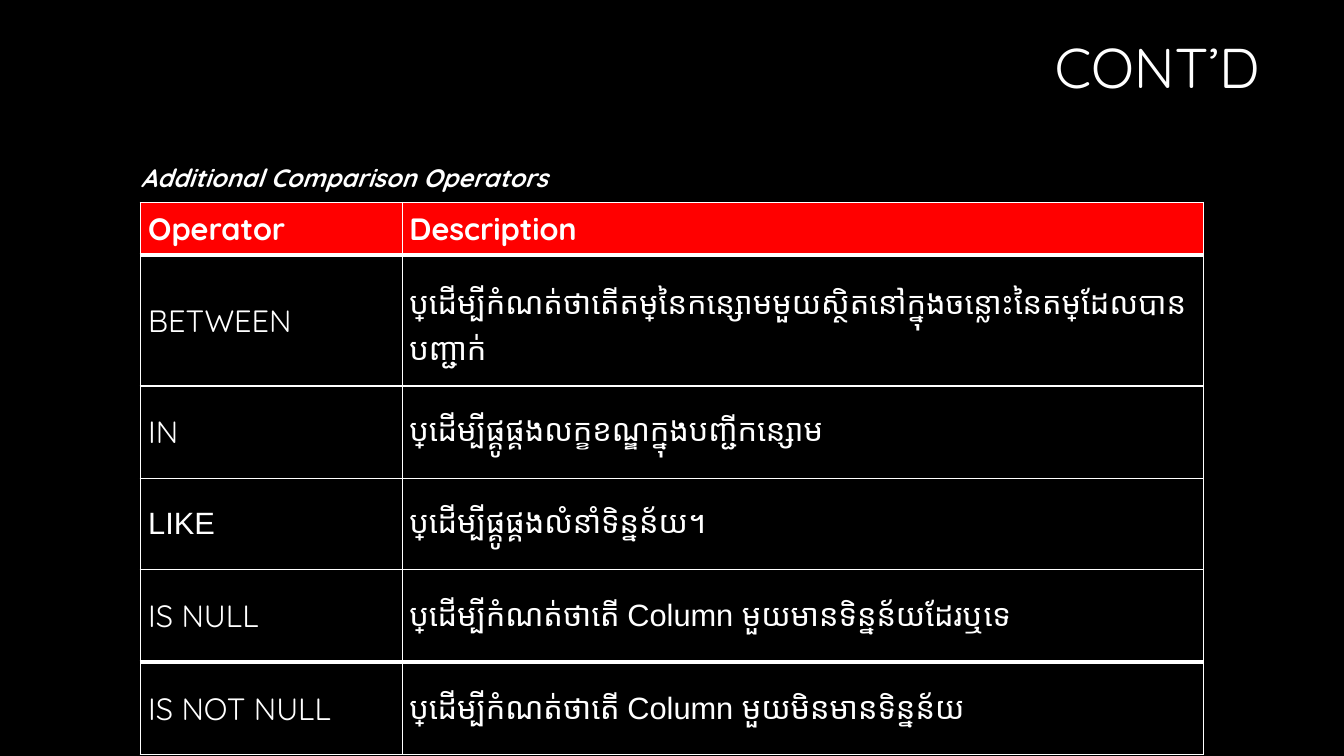
from dataclasses import dataclass

from lxml import etree
from pptx import Presentation
from pptx.dml.color import RGBColor
from pptx.enum.text import MSO_ANCHOR, PP_ALIGN
from pptx.oxml.ns import qn
from pptx.slide import Slide
from pptx.table import _Cell
from pptx.text.text import _Paragraph
from pptx.util import Inches, Pt

MIDDLE, TOP = MSO_ANCHOR.MIDDLE, MSO_ANCHOR.TOP
LEFT, RIGHT = PP_ALIGN.LEFT, PP_ALIGN.RIGHT
COLORS = {"back": "000000", "text": "FFFFFF", "head": "FF0000"}
SANS, ROUND = "Arial", "Quicksand"
THIN, THICK = 1, 3


@dataclass(frozen=True)
class Style:
    size: float
    font: str = ROUND
    bold: bool = False
    slant: bool = False
    space: float = 1.0


@dataclass(frozen=True)
class Label:
    text: str
    box: tuple[float, float, float, float]
    style: Style
    align: PP_ALIGN = LEFT
    anchor: MSO_ANCHOR = TOP
    wrap: bool = True


@dataclass(frozen=True)
class Row:
    name: str
    note: str
    high: float
    left: Style = Style(22)
    right: Style = Style(22, SANS)
    above: int = THIN
    below: int = THIN
    fill: str = ""


LABELS = [
    Label("CONT’D", (3.17, 0, 9.42, 1.4), Style(40, space=0.9), RIGHT, MIDDLE),
    Label("Additional Comparison Operators", (1.3, 1.41, 4.31, 0.5),
          Style(18, bold=True, slant=True, space=1.5), wrap=False),
]
HEAD = Style(22, bold=True)
WIDTHS = (2.6, 7.95)
INDENTS = (0.08, 0.07)
ROWS = [
    Row("Operator", "Description", 0.52, HEAD, HEAD, below=THICK, fill="head"),
    Row("BETWEEN", "ប្រើដើម្បីកំណត់ថាតើតម្លៃនៃកន្សោមមួយស្ថិតនៅក្នុងចន្លោះនៃតម្លៃដែលបានបញ្ជាក់",
        1.3, right=Style(22, SANS, space=1.5), above=THICK),
    Row("IN", "ប្រើដើម្បីផ្គូផ្គងលក្ខខណ្ឌក្នុងបញ្ជីកន្សោម", 0.92),
    Row("LIKE", "ប្រើដើម្បីផ្គូផ្គងលំនាំទិន្នន័យ។", 0.9, left=Style(22, SANS)),
    Row("IS NULL", "ប្រើដើម្បីកំណត់ថាតើ Column មួយមានទិន្នន័យដែរឬទេ", 0.92, below=THICK),
    Row("IS NOT NULL", "ប្រើដើម្បីកំណត់ថាតើ Column មួយមិនមានទិន្នន័យ", 0.92, above=THICK),
]


def paint(name: str) -> RGBColor:
    return RGBColor.from_string(COLORS[name])


def write(para: _Paragraph, text: str, style: Style) -> None:
    para.line_spacing = style.space
    run = para.add_run()
    run.text = text
    font = run.font
    font.name, font.size = style.font, Pt(style.size)
    font.bold, font.italic = style.bold, style.slant
    font.color.rgb = paint("text")


def add_label(slide: Slide, label: Label) -> None:
    frame = slide.shapes.add_textbox(*map(Inches, label.box)).text_frame
    frame.word_wrap = label.wrap
    frame.vertical_anchor = label.anchor
    para = frame.paragraphs[0]
    para.alignment = label.align
    write(para, label.text, label.style)


def add_edge(cell: _Cell, side: str, width: int) -> None:
    props = cell._tc.get_or_add_tcPr()
    line = etree.SubElement(props, qn(f"a:ln{side}"), w=str(Pt(width)))
    fill = etree.SubElement(line, qn("a:solidFill"))
    etree.SubElement(fill, qn("a:srgbClr"), val=COLORS["text"])


def fill_cell(cell: _Cell, text: str, style: Style, row: Row, indent: float) -> None:
    cell.margin_left = Inches(indent)
    cell.margin_right = cell.margin_top = cell.margin_bottom = 0
    cell.vertical_anchor = MIDDLE
    for side, width in zip("LRTB", (THIN, THIN, row.above, row.below)):
        add_edge(cell, side, width)
    if row.fill:
        cell.fill.solid()
        cell.fill.fore_color.rgb = paint(row.fill)
    else:
        cell.fill.background()
    write(cell.text_frame.paragraphs[0], text, style)


def add_grid(slide: Slide, rows: list[Row]) -> None:
    high = sum(row.high for row in rows)
    box = map(Inches, (1.39, 2.01, sum(WIDTHS), high))
    table = slide.shapes.add_table(len(rows), len(WIDTHS), *box).table
    table.first_row = table.horz_banding = False
    for col, width in zip(table.columns, WIDTHS):
        col.width = Inches(width)
    for line, row in zip(table.rows, rows):
        line.height = Inches(row.high)
        parts = ((row.name, row.left), (row.note, row.right))
        for cell, (text, style), indent in zip(line.cells, parts, INDENTS):
            fill_cell(cell, text, style, row, indent)


def main() -> None:
    deck = Presentation()
    deck.slide_width, deck.slide_height = Inches(13.33), Inches(7.5)
    slide = deck.slides.add_slide(deck.slide_layouts[6])
    slide.background.fill.solid()
    slide.background.fill.fore_color.rgb = paint("back")
    for label in LABELS:
        add_label(slide, label)
    add_grid(slide, ROWS)
    deck.save("out.pptx")


if __name__ == "__main__":
    main()
